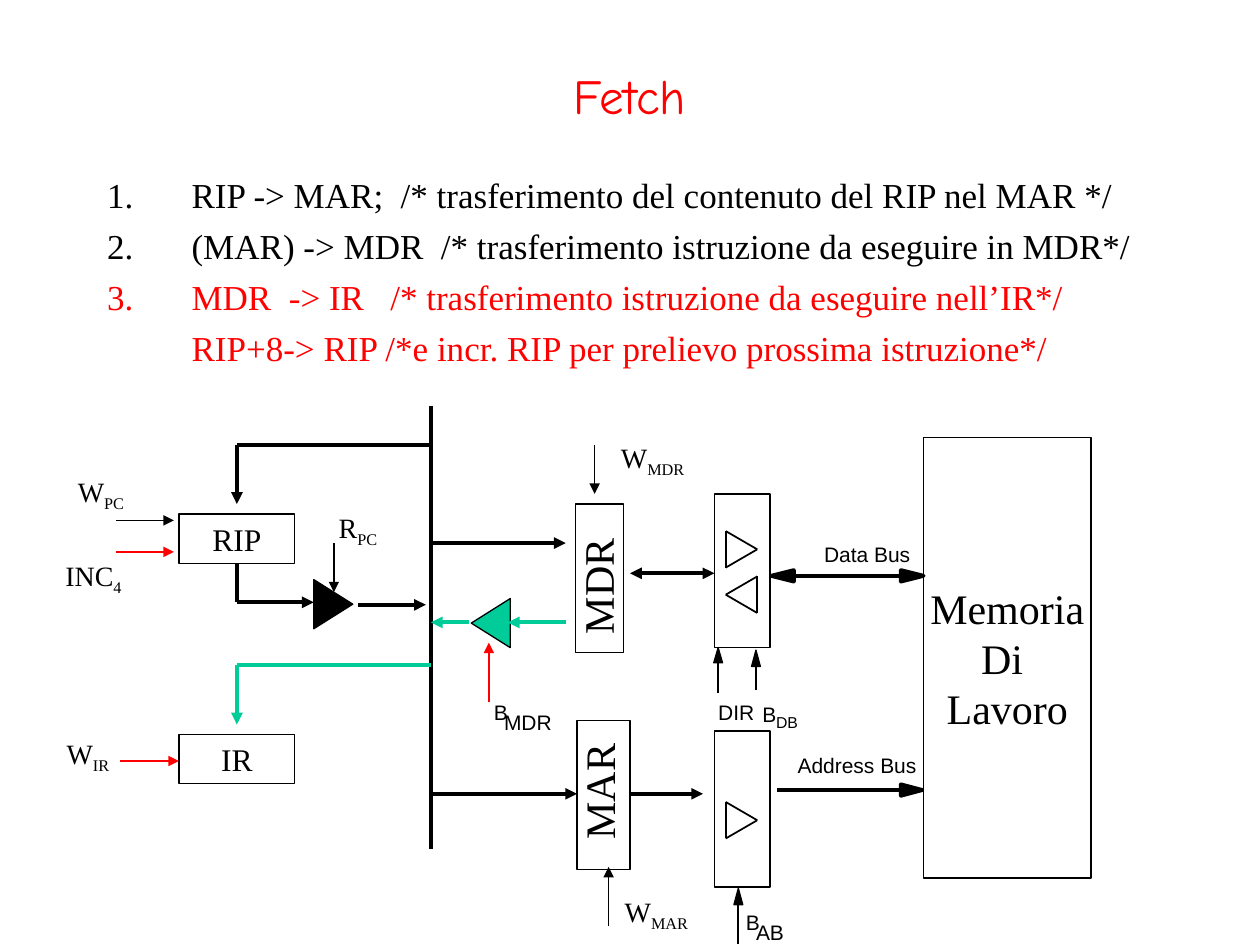
from dataclasses import dataclass
from typing import Optional

import pptx
import pptx.dml.color
import pptx.enum.shapes
import pptx.enum.text
import pptx.oxml
import pptx.oxml.ns
import pptx.util

RGBColor = pptx.dml.color.RGBColor
Shape = pptx.enum.shapes.MSO_SHAPE
Align = pptx.enum.text.PP_ALIGN
Anchor = pptx.enum.text.MSO_ANCHOR
AutoSize = pptx.enum.text.MSO_AUTO_SIZE
Pt = pptx.util.Pt
qn = pptx.oxml.ns.qn

BLACK = RGBColor(0x00, 0x00, 0x00)
WHITE = RGBColor(0xFF, 0xFF, 0xFF)
RED = RGBColor(0xFF, 0x00, 0x00)
GREEN = RGBColor(0x00, 0xCC, 0x99)
SERIF, SANS, HAND = "Times New Roman", "Arial", "Comic Neue"

WIDTH, HEIGHT = pptx.util.Inches(10), pptx.util.Inches(7.5)
COLUMNS, ROWS = 1000, 750
BUS, RIP_MIDDLE = 342, 188
THICK, MEDIUM, THIN = 2.25, 1, 0.75


@dataclass
class Wire:
    start: tuple
    end: tuple
    color: RGBColor = BLACK
    weight: float = THICK
    ends: str = "tail"


@dataclass
class Box:
    area: tuple
    label: str = ""
    size: int = 18
    fill: Optional[RGBColor] = None
    weight: float = THIN
    preset: int = Shape.RECTANGLE
    rotation: int = 0


@dataclass
class Label:
    area: tuple
    text: str
    subscript: str = ""
    size: int = 16
    font: str = SERIF
    inset: bool = True
    rotation: int = 0


@dataclass
class Pointer:
    tip: tuple
    direction: tuple
    length: int
    half: float
    weight: float


WIRES = [
    Wire((BUS, 322), (BUS, 674), ends=""),
    Wire((RIP_MIDDLE, 353), (BUS, 353), ends=""),
    Wire((RIP_MIDDLE, 353), (RIP_MIDDLE, 400)),
    Wire((RIP_MIDDLE, 447), (RIP_MIDDLE, 478), ends=""),
    Wire((RIP_MIDDLE, 478), (249, 478)),
    Wire((284, 480), (338, 480)),
    Wire((RIP_MIDDLE, 528), (BUS, 528), GREEN, ends=""),
    Wire((RIP_MIDDLE, 528), (RIP_MIDDLE, 575), GREEN),
    Wire((BUS, 431), (449, 431)),
    Wire((BUS, 494), (372, 494), GREEN, ends="head"),
    Wire((403, 494), (449, 494), GREEN, ends="head"),
    Wire((BUS, 630), (458, 630)),
    Wire((500, 630), (558, 630)),
    Wire((500, 455), (567, 455), ends="head tail"),
    Wire((630, 457), (715, 457), ends=""),
    Wire((617, 627), (715, 627), ends=""),
    Wire((472, 353), (472, 392), weight=THIN),
    Wire((483, 735), (483, 688), weight=THIN),
    Wire((265, 431), (265, 470), weight=THIN),
    Wire((92, 413), (138, 413), weight=THIN),
    Wire((92, 438), (138, 438), RED, THIN),
    Wire((95, 604), (142, 604), RED, THIN),
    Wire((388, 557), (388, 510), RED, THIN),
    Wire((586, 718), (586, 749), weight=MEDIUM, ends=""),
    Wire((570, 526), (570, 550), weight=MEDIUM, ends=""),
    Wire((600, 529), (600, 548), weight=MEDIUM, ends=""),
]

BOXES = [
    Box((457, 400, 38, 118)),
    Box((458, 572, 42, 118)),
    Box((733, 347, 133, 350), "Memoria\nDi \nLavoro", 24),
    Box((142, 408, 92, 39), "RIP", fill=WHITE),
    Box((142, 583, 92, 39), "IR", fill=WHITE),
    Box((567, 392, 44, 122), weight=MEDIUM),
    Box((567, 580, 44, 124), weight=MEDIUM),
    Box((370, 479, 39, 31), fill=GREEN, preset=Shape.ISOSCELES_TRIANGLE, rotation=270),
    Box((245, 464, 39, 31), fill=BLACK, preset=Shape.ISOSCELES_TRIANGLE, rotation=90),
]

LABELS = [
    Label((426, 440, 96, 50), "MDR", size=24, rotation=270),
    Label((427, 603, 96, 50), "MAR", size=24, rotation=270),
    Label((486, 705, 74, 41), "W", "MAR"),
    Label((483, 345, 74, 41), "W", "MDR"),
    Label((259, 400, 54, 41), "R", "PC"),
    Label((52, 372, 60, 41), "W", "PC"),
    Label((43, 580, 58, 41), "W", "IR"),
    Label((42, 438, 68, 41), "INC", "4"),
    Label((633, 597, 98, 20), "Address Bus", size=12, font=SANS, inset=False),
    Label((654, 430, 72, 20), "Data Bus", size=12, font=SANS, inset=False),
    Label((570, 555, 32, 20), "DIR", size=12, font=SANS, inset=False),
    Label((605, 557, 14, 20), "B", size=12, font=SANS, inset=False),
    Label((616, 566, 20, 15), "DB", size=9, font=SANS, inset=False),
    Label((592, 722, 14, 20), "B", size=12, font=SANS, inset=False),
    Label((600, 730, 25, 20), "AB", size=12, font=SANS, inset=False),
    Label((392, 555, 14, 20), "B", size=12, font=SANS, inset=False),
    Label((400, 563, 41, 20), "MDR", size=12, font=SANS, inset=False),
]

POINTERS = [
    Pointer((612, 457), (-1, 0), 18, 4.5, THICK),
    Pointer((733, 457), (1, 0), 18, 4.5, THICK),
    Pointer((732, 627), (1, 0), 17, 4.5, THICK),
    Pointer((586, 705), (0, -1), 13, 3.5, THIN),
    Pointer((570, 514), (0, -1), 12, 3.5, THIN),
    Pointer((600, 516), (0, -1), 13, 3.5, THIN),
]

BUFFERS = [(576, 601, 436), (601, 576, 472), (576, 601, 651)]

STEPS = [
    ("RIP -> MAR;  /* trasferimento del contenuto del RIP nel MAR */", BLACK, True),
    ("(MAR) -> MDR  /* trasferimento istruzione da eseguire in MDR*/", BLACK, True),
    ("MDR  -> IR   /* trasferimento istruzione da eseguire nell’IR*/", RED, True),
    ("RIP+8-> RIP /*e incr. RIP per prelievo prossima istruzione*/", RED, False),
]


def place(column: float, row: float) -> tuple:
    return round(WIDTH * column / COLUMNS), round(HEIGHT * row / ROWS)


def bounds(area: tuple) -> tuple:
    return place(*area[:2]) + place(*area[2:])


def style(run, size: float, font: str, color: RGBColor = BLACK) -> None:
    run.font.size, run.font.name = Pt(size), font
    run.font.color.rgb = color


def outline(shape, fill: Optional[RGBColor], weight: float) -> None:
    shape.shadow.inherit = False
    if fill is None:
        shape.fill.background()
    else:
        shape.fill.solid()
        shape.fill.fore_color.rgb = fill
    shape.line.color.rgb, shape.line.width = BLACK, Pt(weight)


def draw_wire(shapes, wire: Wire) -> None:
    line = shapes.add_connector(pptx.enum.shapes.MSO_CONNECTOR.STRAIGHT,
                                *place(*wire.start), *place(*wire.end))
    line.line.color.rgb, line.line.width = wire.color, Pt(wire.weight)
    properties = line._element.spPr
    for end in wire.ends.split():
        arrowhead = pptx.oxml.parse_xml(
            f'<a:{end}End {pptx.oxml.ns.nsdecls("a")} type="triangle"/>')
        properties.find(qn("a:ln")).append(arrowhead)
    properties.append(pptx.oxml.parse_xml(f'<a:effectLst {pptx.oxml.ns.nsdecls("a")}/>'))


def draw_box(shapes, box: Box) -> None:
    shape = shapes.add_shape(box.preset, *bounds(box.area))
    shape.rotation = box.rotation
    outline(shape, box.fill, box.weight)
    if box.label:
        frame = shape.text_frame
        frame.text, frame.word_wrap = box.label, False
        frame.vertical_anchor = Anchor.MIDDLE
        for paragraph in frame.paragraphs:
            paragraph.alignment = Align.CENTER
            style(paragraph.runs[0], box.size, SERIF)


def draw_label(shapes, label: Label) -> None:
    shape = shapes.add_textbox(*bounds(label.area))
    shape.rotation = label.rotation
    frame = shape.text_frame
    frame.text, frame.word_wrap = label.text, False
    frame.auto_size = AutoSize.SHAPE_TO_FIT_TEXT
    if not label.inset:
        frame.margin_left = frame.margin_right = frame.margin_top = frame.margin_bottom = 0
    paragraph = frame.paragraphs[0]
    if label.subscript:
        paragraph.add_run().text = label.subscript
        paragraph.runs[1].font._element.set("baseline", "-25000")
    for run in paragraph.runs:
        style(run, label.size, label.font)


def draw_pointer(shapes, pointer: Pointer) -> None:
    (x, y), (dx, dy) = pointer.tip, pointer.direction
    base_x, base_y = x - dx * pointer.length, y - dy * pointer.length
    corners = [place(base_x + side * dy * pointer.half, base_y + side * dx * pointer.half)
               for side in (-1, 1)]
    builder = shapes.build_freeform(*place(x, y))
    builder.add_line_segments(corners, close=True)
    outline(builder.convert_to_shape(), BLACK, pointer.weight)


def draw_buffer(shapes, base: int, tip: int, middle: int) -> None:
    corners = [(base, middle - 14.5), (base, middle + 14.5), (tip, middle)]
    for index, corner in enumerate(corners):
        draw_wire(shapes, Wire(corners[index - 1], corner, weight=MEDIUM, ends=""))


def write_steps(body) -> None:
    frame = body.text_frame
    frame.text = "\n".join(text for text, _, _ in STEPS)
    frame.auto_size, frame.vertical_anchor = AutoSize.NONE, Anchor.TOP
    for index, (paragraph, (_, color, numbered)) in enumerate(zip(frame.paragraphs, STEPS)):
        paragraph.alignment = Align.JUSTIFY
        paragraph.space_before = Pt(5 if index else 0)
        hanging = place(67, 0)[0]
        layout = paragraph._p.get_or_add_pPr()
        layout.set("marL", str(hanging))
        layout.set("indent", str(-hanging if numbered else 0))
        namespace = pptx.oxml.ns.nsdecls("a")
        bullets = [f"<a:buNone {namespace}/>"]
        if numbered:
            bullets = [f'<a:buClr {namespace}><a:srgbClr val="{color}"/></a:buClr>',
                       f'<a:buFont {namespace} typeface="{SERIF}"/>',
                       f'<a:buAutoNum {namespace} type="arabicPeriod"/>']
        for bullet in bullets:
            layout.append(pptx.oxml.parse_xml(bullet))
        style(paragraph.runs[0], 20, SERIF, color)


def main() -> None:
    deck = pptx.Presentation()
    deck.slide_width, deck.slide_height = WIDTH, HEIGHT
    slide = deck.slides.add_slide(deck.slide_layouts[1])
    title, body = slide.placeholders
    title.left, title.top, title.width, title.height = bounds((75, 25, 850, 100))
    body.left, body.top, body.width, body.height = bounds((75, 133, 850, 450))
    title.text_frame.text = "Fetch"
    title.text_frame.vertical_anchor = Anchor.MIDDLE
    title.text_frame.paragraphs[0].alignment = Align.CENTER
    style(title.text_frame.paragraphs[0].runs[0], 28, HAND, RED)
    write_steps(body)
    for draw, parts in ((draw_box, BOXES), (draw_wire, WIRES),
                        (draw_pointer, POINTERS), (draw_label, LABELS)):
        for part in parts:
            draw(slide.shapes, part)
    for buffer in BUFFERS:
        draw_buffer(slide.shapes, *buffer)
    deck.save("out.pptx")


if __name__ == "__main__":
    main()
